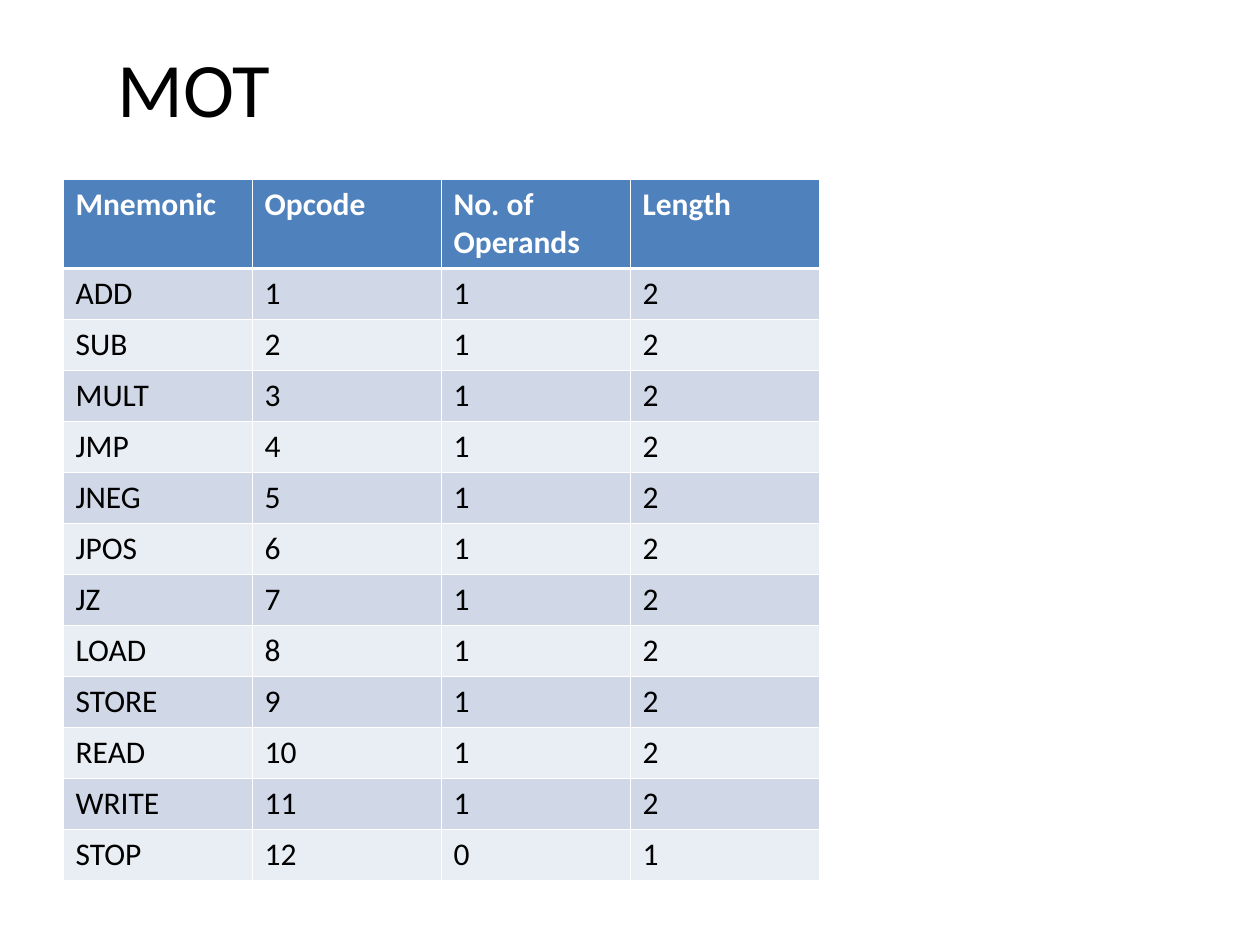
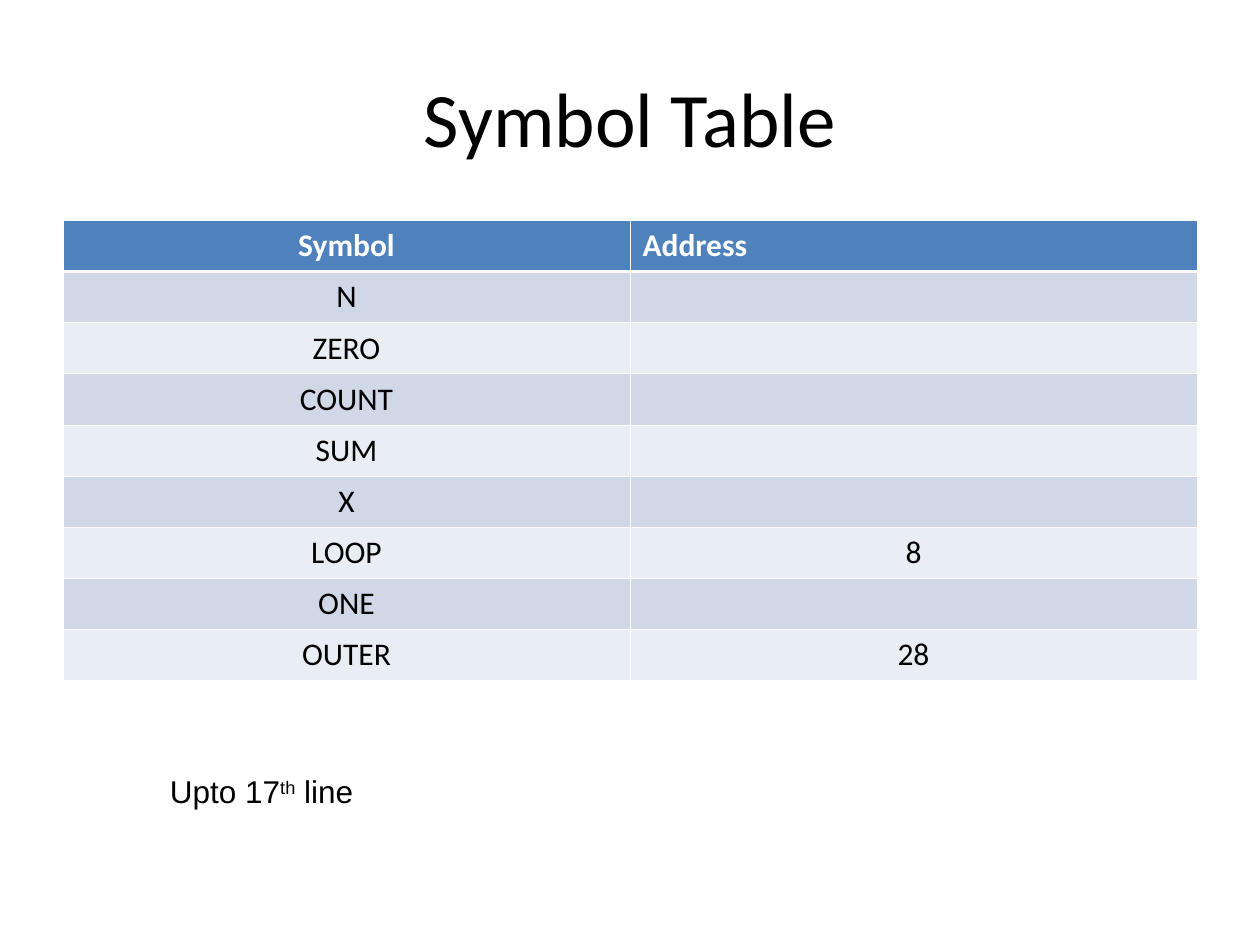
"""Build two slides: the machine opcode table and the symbol table of an assembler."""
from dataclasses import dataclass

from pptx import Presentation
from pptx.dml.color import RGBColor
from pptx.enum.text import MSO_ANCHOR as Anchor, MSO_AUTO_SIZE as AutoSize, PP_ALIGN as Align
from pptx.oxml.ns import qn
from pptx.util import Inches, Pt
from lxml.etree import SubElement


@dataclass(frozen=True)
class Theme:
    heading_font: str = "Calibri"
    note_font: str = "Arial"
    title_size: float = 44
    body_size: float = 18
    text: str = "000000"
    header_text: str = "FFFFFF"
    header_fill: str = "4F81BD"
    row_fills: tuple = ("D0D8E8", "E9EDF4")
    border: str = "FFFFFF"
    thin: float = 0.45
    thick: float = 1.47


THEME = Theme()
BLANK_LAYOUT = 6
TABLE_LEFT = 0.5

OPCODE_HEADER = ["Mnemonic", "Opcode", "No. of Operands", "Length"]
MNEMONICS = ["ADD", "SUB", "MULT", "JMP", "JNEG", "JPOS", "JZ",
             "LOAD", "STORE", "READ", "WRITE", "STOP"]

SYMBOL_HEADER = ["Symbol", "Address"]
SYMBOLS = [("N", ""), ("ZERO", ""), ("COUNT", ""), ("SUM", ""), ("X", ""),
           ("LOOP", "8"), ("ONE", ""), ("OUTER", "28")]


def add_text(paragraph, text, font=THEME.heading_font, size=THEME.body_size,
             color=THEME.text, bold=False, align=Align.LEFT, raised=False):
    paragraph.alignment = align
    run = paragraph.add_run()
    run.text = text
    run.font.name = font
    run.font.size = Pt(size)
    run.font.bold = bold
    run.font.color.rgb = RGBColor.from_string(color)
    if raised:
        run.font._element.set("baseline", "30000")


def add_text_frame(slide, left, top, width, height, anchor=Anchor.TOP):
    box = slide.shapes.add_textbox(Inches(left), Inches(top), Inches(width), Inches(height))
    frame = box.text_frame
    frame.word_wrap = True
    frame.vertical_anchor = anchor
    return frame


def add_title(slide, text, width, height):
    frame = add_text_frame(slide, 0.5, 0.3, width, height, Anchor.MIDDLE)
    add_text(frame.paragraphs[0], text, size=THEME.title_size, align=Align.CENTER)


def set_borders(cell, top, bottom):
    properties = cell._tc.get_or_add_tcPr()
    widths = {"L": THEME.thin, "R": THEME.thin, "T": top, "B": bottom}
    for side, width in widths.items():
        line = SubElement(properties, qn(f"a:ln{side}"), w=str(Pt(width)))
        fill = SubElement(line, qn("a:solidFill"))
        SubElement(fill, qn("a:srgbClr"), val=THEME.border)


def format_cell(cell, text, row, align):
    is_header = row == 0
    set_borders(cell, top=THEME.thick if row == 1 else THEME.thin,
                bottom=THEME.thick if is_header else THEME.thin)
    color = THEME.header_fill if is_header else THEME.row_fills[(row - 1) % 2]
    cell.fill.solid()
    cell.fill.fore_color.rgb = RGBColor.from_string(color)
    cell.margin_left = cell.margin_right = Inches(0.1)
    cell.margin_top = cell.margin_bottom = Inches(0.05)
    if text:
        add_text(cell.text_frame.paragraphs[0], text, bold=is_header, align=align,
                 color=THEME.header_text if is_header else THEME.text)


def add_banded_table(slide, header, rows, top, width, height, header_height,
                     header_aligns, body_align):
    frame = slide.shapes.add_table(len(rows) + 1, len(header), Inches(TABLE_LEFT),
                                   Inches(top), Inches(width), Inches(height))
    table = frame.table
    for column in table.columns:
        column.width = Inches(width / len(header))
    for row in table.rows:
        row.height = Inches((height - header_height) / len(rows))
    table.rows[0].height = Inches(header_height)
    for row_index, values in enumerate([header, *rows]):
        for column_index, value in enumerate(values):
            align = body_align if row_index else header_aligns[column_index]
            format_cell(table.cell(row_index, column_index), value, row_index, align)


def add_opcode_slide(presentation):
    slide = presentation.slides.add_slide(presentation.slide_layouts[BLANK_LAYOUT])
    add_title(slide, "MOT", width=2.08, height=0.78)
    rows = []
    for opcode, mnemonic in enumerate(MNEMONICS, start=1):
        operands = 0 if mnemonic == "STOP" else 1
        rows.append((mnemonic, str(opcode), str(operands), str(operands + 1)))
    add_banded_table(slide, OPCODE_HEADER, rows, top=1.42, width=6, height=5.57,
                     header_height=0.71, header_aligns=[Align.LEFT] * 4,
                     body_align=Align.LEFT)


def add_symbol_slide(presentation):
    slide = presentation.slides.add_slide(presentation.slide_layouts[BLANK_LAYOUT])
    add_title(slide, "Symbol Table", width=9, height=1.25)
    add_banded_table(slide, SYMBOL_HEADER, SYMBOLS, top=1.75, width=9, height=3.65,
                     header_height=3.65 / 9, header_aligns=[Align.CENTER, Align.LEFT],
                     body_align=Align.CENTER)
    note = add_text_frame(slide, 1.25, 6.08, 2.75, 0.4)
    note.auto_size = AutoSize.SHAPE_TO_FIT_TEXT
    for text, raised in [("Upto 17", False), ("th", True), (" line", False)]:
        add_text(note.paragraphs[0], text, font=THEME.note_font, raised=raised)


def main():
    presentation = Presentation()
    presentation.slide_width = Inches(10)
    presentation.slide_height = Inches(7.5)
    add_opcode_slide(presentation)
    add_symbol_slide(presentation)
    presentation.save("out.pptx")


if __name__ == "__main__":
    main()
